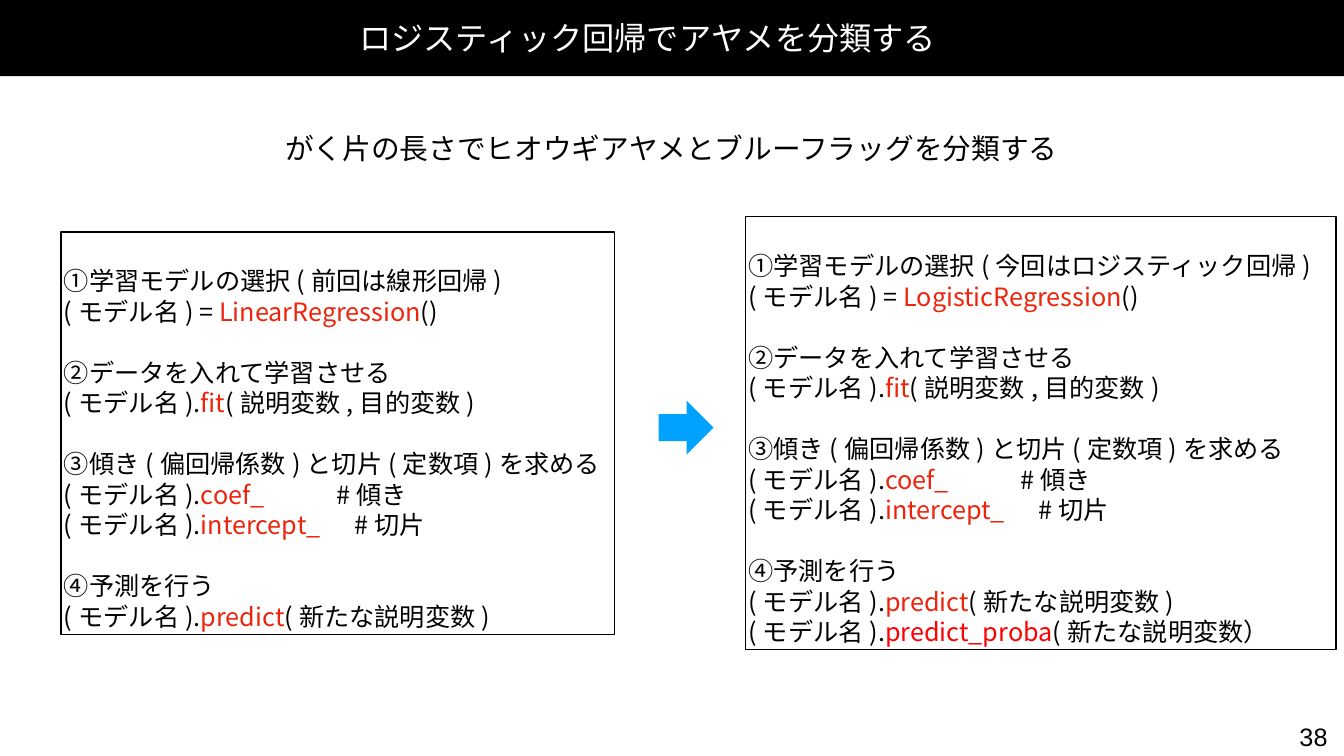
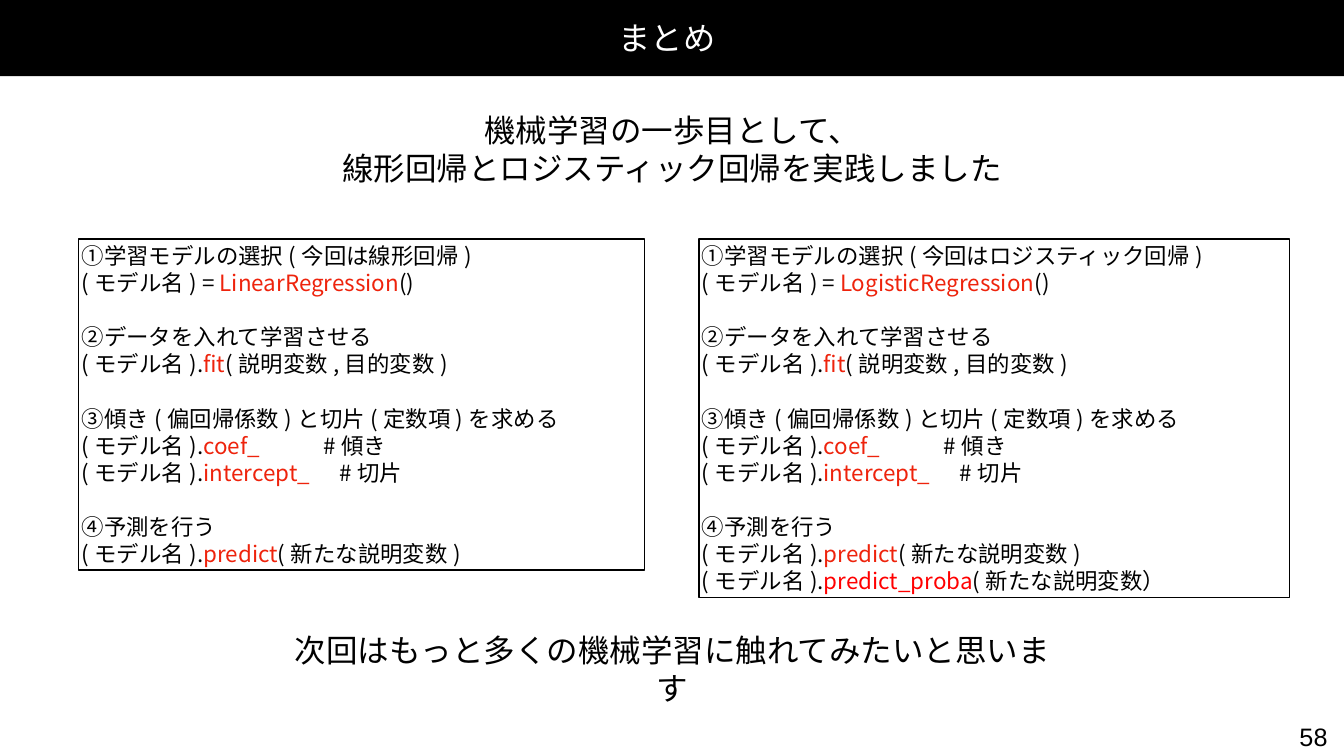
from lxml import etree
from pptx import Presentation
from pptx.dml.color import RGBColor
from pptx.enum import shapes, text
from pptx.oxml.ns import qn
from pptx.util import Inches, Pt

BLACK = RGBColor(0, 0, 0)
WHITE = RGBColor(255, 255, 255)
CODE_RED = RGBColor(0xEE, 0x23, 0x0C)
NEW_RED = RGBColor(255, 0, 0)
ARROW_BLUE = RGBColor(0, 0xA2, 0xFF)

JAPANESE_FONT = "Noto Sans CJK JP"
NUMBER_FONT = "Arial"
WIDTH, HEIGHT = 26.67, 15
INSET = 0.06
LINE_PITCH = 1.21  # line height per point of text size
COEF_TAB, INTERCEPT_TAB = 0.15, 0.16  # inches per point of text size

MODEL = "(モデル名)."


def model_steps(lesson, class_name):
    """Groups of lines; a line is a list of (text, colour), with an optional tab."""
    return [
        [[(f"①学習モデルの選択({lesson})", BLACK)],
         [("(モデル名) = ", BLACK), (class_name, CODE_RED), ("()", BLACK)]],
        [[("②データを入れて学習させる", BLACK)],
         [(MODEL, BLACK), ("fit", CODE_RED), ("(説明変数,目的変数)", BLACK)]],
        [[("③傾き(偏回帰係数)と切片(定数項)を求める", BLACK)],
         [(MODEL, BLACK), ("coef_", CODE_RED), ("\t#傾き", BLACK)],
         [(MODEL, BLACK), ("intercept_", CODE_RED), ("\t#切片", BLACK)]],
        [[("④予測を行う", BLACK)],
         [(MODEL, BLACK), ("predict", CODE_RED), ("(新たな説明変数)", BLACK)]],
    ]


def logistic_steps():
    steps = model_steps("今回はロジスティック回帰", "LogisticRegression")
    steps[-1].append([(MODEL, BLACK), ("predict_proba", NEW_RED),
                      ("(新たな説明変数）", BLACK)])
    return steps


# Boxes are (left, top, width, height) in inches.
SLIDES = [
    {
        "title": ("ロジスティック回帰でアヤメを分類する", (7.07, 0.29, 11.72, 0.89)),
        "messages": [
            (["がく片の長さでヒオウギアヤメとブルーフラッグを分類する"],
             (5.51, 2.54, 15.64, 0.8), 41, False),
        ],
        "code_size": 36,
        "lead_lines": 1,
        "code": [
            (model_steps("前回は線形回帰", "LinearRegression"), (1.21, 4.6, 10.98, 7.99)),
            (logistic_steps(), (14.79, 4.3, 11.72, 8.59)),
        ],
        "arrow": (13.07, 7.95, 1.09, 1.07),
        "number": "38",
    },
    {
        "title": ("まとめ", (12.22, 0.36, 2.04, 0.75)),
        "messages": [
            (["機械学習の一歩目として、", "線形回帰とロジスティック回帰を実践しました"],
             (6.71, 2.1, 13.25, 1.69), 45, False),
            (["次回はもっと多くの機械学習に触れてみたいと思います"],
             (5.48, 12.9, 15.71, 0.74), 45, True),
        ],
        "code_size": 32,
        "lead_lines": 0,
        "code": [
            (model_steps("今回は線形回帰", "LinearRegression"), (1.56, 4.74, 11.23, 6.57)),
            (logistic_steps(), (13.87, 4.74, 11.72, 7.11)),
        ],
        "arrow": None,
        "number": "58",
    },
]


def place(box):
    return [Inches(length) for length in box]


def style_run(run, size, color, font=JAPANESE_FONT):
    run.font.size = Pt(size)
    run.font.color.rgb = color
    run.font.name = font
    etree.SubElement(run.font._element, qn("a:ea"), typeface=font)


def prepare_frame(shape, anchor, wrap):
    frame = shape.text_frame
    frame.word_wrap = wrap
    frame.vertical_anchor = anchor
    frame.margin_left = frame.margin_right = Inches(INSET)
    frame.margin_top = frame.margin_bottom = Inches(INSET)
    return frame


def add_label(slide, lines, box, size, color=BLACK, font=JAPANESE_FONT, wrap=False,
              align=text.PP_ALIGN.CENTER, anchor=text.MSO_ANCHOR.MIDDLE):
    frame = prepare_frame(slide.shapes.add_textbox(*place(box)), anchor, wrap)
    frame.text = "\n".join(lines)
    for paragraph in frame.paragraphs:
        paragraph.alignment = align
        if font == JAPANESE_FONT:
            paragraph.line_spacing = Pt(size * LINE_PITCH)
        for run in paragraph.runs:
            style_run(run, size, color, font)


def add_block(slide, kind, box, fill=None):
    shape = slide.shapes.add_shape(kind, *place(box))
    shape.shadow.inherit = False
    if fill is None:
        shape.fill.background()
        shape.line.color.rgb = BLACK
        shape.line.width = Pt(2)
    else:
        shape.fill.solid()
        shape.fill.fore_color.rgb = fill
        shape.line.fill.background()
    return shape


def add_tab_stop(paragraph, position):
    properties = paragraph._p.get_or_add_pPr()
    tabs = etree.SubElement(properties, qn("a:tabLst"))
    etree.SubElement(tabs, qn("a:tab"), pos=str(Inches(position)), algn="l")


def add_code_box(slide, steps, box, size, lead_lines):
    shape = add_block(slide, shapes.MSO_SHAPE.RECTANGLE, box)
    frame = prepare_frame(shape, text.MSO_ANCHOR.MIDDLE, True)
    pitch = Pt(size * LINE_PITCH)
    frame.margin_top = Inches(INSET) + lead_lines * pitch
    paragraph = frame.paragraphs[0]
    for step_index, lines in enumerate(steps):
        for line_index, line in enumerate(lines):
            if step_index or line_index:
                paragraph = frame.add_paragraph()
            paragraph.alignment = text.PP_ALIGN.LEFT
            paragraph.line_spacing = pitch
            if step_index and line_index == 0:
                paragraph.space_before = pitch
            if line[-1][0].startswith("\t"):
                ratio = COEF_TAB if line[1][0] == "coef_" else INTERCEPT_TAB
                add_tab_stop(paragraph, size * ratio)
            for words, color in line:
                run = paragraph.add_run()
                run.text = words
                style_run(run, size, color)


def build_slide(presentation, content):
    slide = presentation.slides.add_slide(presentation.slide_layouts[6])
    add_block(slide, shapes.MSO_SHAPE.RECTANGLE, (0, -0.04, WIDTH, 1.55), BLACK)
    title, title_box = content["title"]
    add_label(slide, [title], title_box, 46, WHITE, align=text.PP_ALIGN.LEFT)
    for lines, box, size, wrap in content["messages"]:
        add_label(slide, lines, box, size, wrap=wrap)
    for steps, box in content["code"]:
        add_code_box(slide, steps, box, content["code_size"], content["lead_lines"])
    if content["arrow"]:
        add_block(slide, shapes.MSO_SHAPE.RIGHT_ARROW, content["arrow"], ARROW_BLUE)
    add_label(slide, [content["number"]], (25.69, 14.25, 0.75, 0.72), 36,
              font=NUMBER_FONT, anchor=text.MSO_ANCHOR.TOP)


def main():
    presentation = Presentation()
    presentation.slide_width = Inches(WIDTH)
    presentation.slide_height = Inches(HEIGHT)
    for content in SLIDES:
        build_slide(presentation, content)
    presentation.save("out.pptx")


if __name__ == "__main__":
    main()
